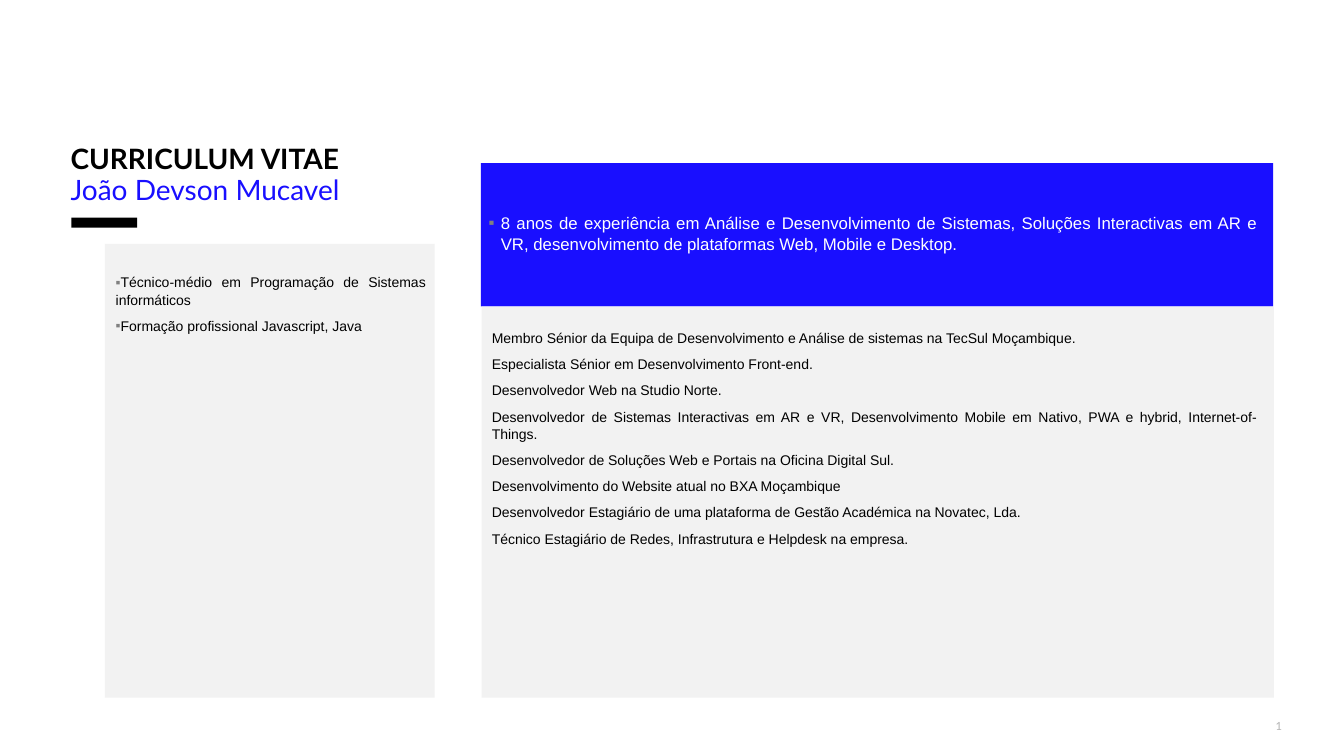
import pptx
import pptx.dml.color
import pptx.enum.shapes
import pptx.enum.text
import pptx.oxml
import pptx.oxml.ns
import pptx.util
from dataclasses import dataclass

Pt = pptx.util.Pt
ALIGN = pptx.enum.text.PP_ALIGN
ANCHOR = pptx.enum.text.MSO_ANCHOR


@dataclass(frozen=True)
class Theme:
    black: str = "000000"
    white: str = "FFFFFF"
    blue: str = "190FFF"
    panel: str = "F2F2F2"
    bullet: str = "808080"
    number: str = "B4B4B4"
    heading_font: str = "Lato"
    body_font: str = "Arial"
    heading: int = 20
    summary: int = 12
    body: int = 10
    small: int = 8


class SlideBuilder:
    def __init__(self, deck, theme):
        self.theme = theme
        self.page = deck.slides.add_slide(deck.slide_layouts[5])

    def color(self, value):
        return pptx.dml.color.RGBColor.from_string(value)

    def apply(self, target, formats):
        for name, value in formats.items():
            setattr(target, name, value)

    def panel(self, left, top, width, height, fill):
        shape = self.page.shapes.add_shape(
            pptx.enum.shapes.MSO_SHAPE.RECTANGLE,
            Pt(left), Pt(top), Pt(width), Pt(height))
        shape.shadow.inherit = False
        shape.fill.solid()
        shape.fill.fore_color.rgb = self.color(fill)
        shape.line.fill.background()

    def frame(self, box, **formats):
        self.apply(box.text_frame, {
            "word_wrap": True,
            "auto_size": pptx.enum.text.MSO_AUTO_SIZE.NONE,
            "vertical_anchor": ANCHOR.TOP,
            "margin_left": Pt(7.2), "margin_right": Pt(7.2),
            "margin_top": Pt(3.6), "margin_bottom": Pt(3.6), **formats})

    def paragraphs(self, box, lines, font, para_format, bullet=False):
        for index, line in enumerate(lines):
            frame = box.text_frame
            para = frame.add_paragraph() if index else frame.paragraphs[0]
            self.apply(para, para_format)
            span = para.add_run()
            span.text, color, bold = line
            self.apply(span.font, {**font, "bold": bold})
            span.font.color.rgb = self.color(color)
            if bullet:
                self.bullet(para)

    def bullet(self, para):
        props = para._p.get_or_add_pPr()
        indent = Pt(8.64)
        props.set("marL", str(indent if bullet_hangs(para) else 0))
        props.set("indent", str(-indent))
        namespace = pptx.oxml.ns.nsdecls("a")
        for xml in (
                f'<a:buClr {namespace}><a:srgbClr val="{self.theme.bullet}"/></a:buClr>',
                f'<a:buFont {namespace} typeface="{self.theme.body_font}"/>',
                f'<a:buChar {namespace} char="▪"/>'):
            props.append(pptx.oxml.parse_xml(xml))

    def title(self, left, top, width, height, lines):
        box = self.page.shapes.title
        self.apply(box, {"left": Pt(left), "top": Pt(top),
                         "width": Pt(width), "height": Pt(height)})
        self.frame(box, vertical_anchor=ANCHOR.BOTTOM)
        self.paragraphs(
            box, lines,
            {"name": self.theme.heading_font, "size": Pt(self.theme.heading)},
            {"alignment": ALIGN.LEFT, "line_spacing": Pt(22),
             "space_before": Pt(0)})

    def text(self, left, top, width, height, lines, size, color, after,
             bullet=False, **formats):
        box = self.page.shapes.add_textbox(
            Pt(left), Pt(top), Pt(width), Pt(height))
        self.frame(box, **formats)
        self.paragraphs(
            box, [(line, color, False) for line in lines],
            {"name": self.theme.body_font, "size": Pt(size)},
            {"alignment": ALIGN.JUSTIFY, "line_spacing": 1.05,
             "space_after": Pt(after)}, bullet)

    def page_number(self, left, top, width, height):
        box = self.page.shapes.add_textbox(
            Pt(left), Pt(top), Pt(width), Pt(height))
        self.frame(box)
        self.paragraphs(
            box, [("1", self.theme.number, False)],
            {"name": self.theme.heading_font, "size": Pt(self.theme.small)},
            {"alignment": ALIGN.RIGHT})
        span = box.text_frame.paragraphs[0].runs[0]._r
        field = pptx.oxml.parse_xml(
            f'<a:fld {pptx.oxml.ns.nsdecls("a")} type="slidenum" '
            'id="{5B1C7A52-3D0E-4F7B-9A63-1E2D3C4B5A69}"/>')
        span.addprevious(field)
        field.extend(list(span))
        span.getparent().remove(span)


def bullet_hangs(para):
    """Only the summary, set in the larger size, has a hanging bullet."""
    return para.runs[0].font.size == Pt(Theme.summary)


theme = Theme()
deck = pptx.Presentation()
deck.slide_width, deck.slide_height = Pt(960), Pt(540)
slide = SlideBuilder(deck, theme)

# Heading with its accent bar
slide.title(43.2, 78, 431, 73, [
    ("CURRICULUM VITAE", theme.black, True),
    ("João Devson Mucavel", theme.blue, False)])
slide.panel(51, 155.5, 47, 7.2, theme.black)

# Panels
slide.panel(343.5, 116.6, 566, 102.4, theme.blue)
slide.panel(75, 174.3, 235.5, 324, theme.panel)
slide.panel(344, 219, 566, 279.3, theme.panel)

# Summary
slide.text(342, 148.3, 563.8, 36, [
    "8 anos de experiência em Análise e Desenvolvimento de Sistemas, "
    "Soluções Interactivas em AR e VR, desenvolvimento de plataformas "
    "Web, Mobile e Desktop."],
    theme.summary, theme.white, 3, bullet=True, vertical_anchor=ANCHOR.MIDDLE)

# Education
slide.text(75.6, 191.5, 235.4, 50, [
    "Técnico-médio em Programação de Sistemas informáticos",
    "Formação profissional Javascript, Java"],
    theme.body, theme.black, 6, bullet=True)

# Experience
slide.text(344.2, 229, 560.2, 269, [
    "Membro Sénior da Equipa de Desenvolvimento e Análise de sistemas "
    "na TecSul Moçambique.",
    "Especialista Sénior em Desenvolvimento Front-end.",
    "Desenvolvedor Web na Studio Norte.",
    "Desenvolvedor de Sistemas Interactivas em AR e VR, Desenvolvimento "
    "Mobile em Nativo, PWA e hybrid, Internet-of-Things.",
    "Desenvolvedor de Soluções Web e Portais na Oficina Digital Sul.",
    "Desenvolvimento do Website atual no BXA Moçambique",
    "Desenvolvedor Estagiário de uma plataforma de Gestão Académica "
    "na Novatec, Lda.",
    "Técnico Estagiário de Redes, Infrastrutura e Helpdesk na empresa."],
    theme.body, theme.black, 6, margin_top=Pt(6))

# Page number
slide.page_number(760.3, 510.5, 162.7, 17.3)

deck.save("out.pptx")
